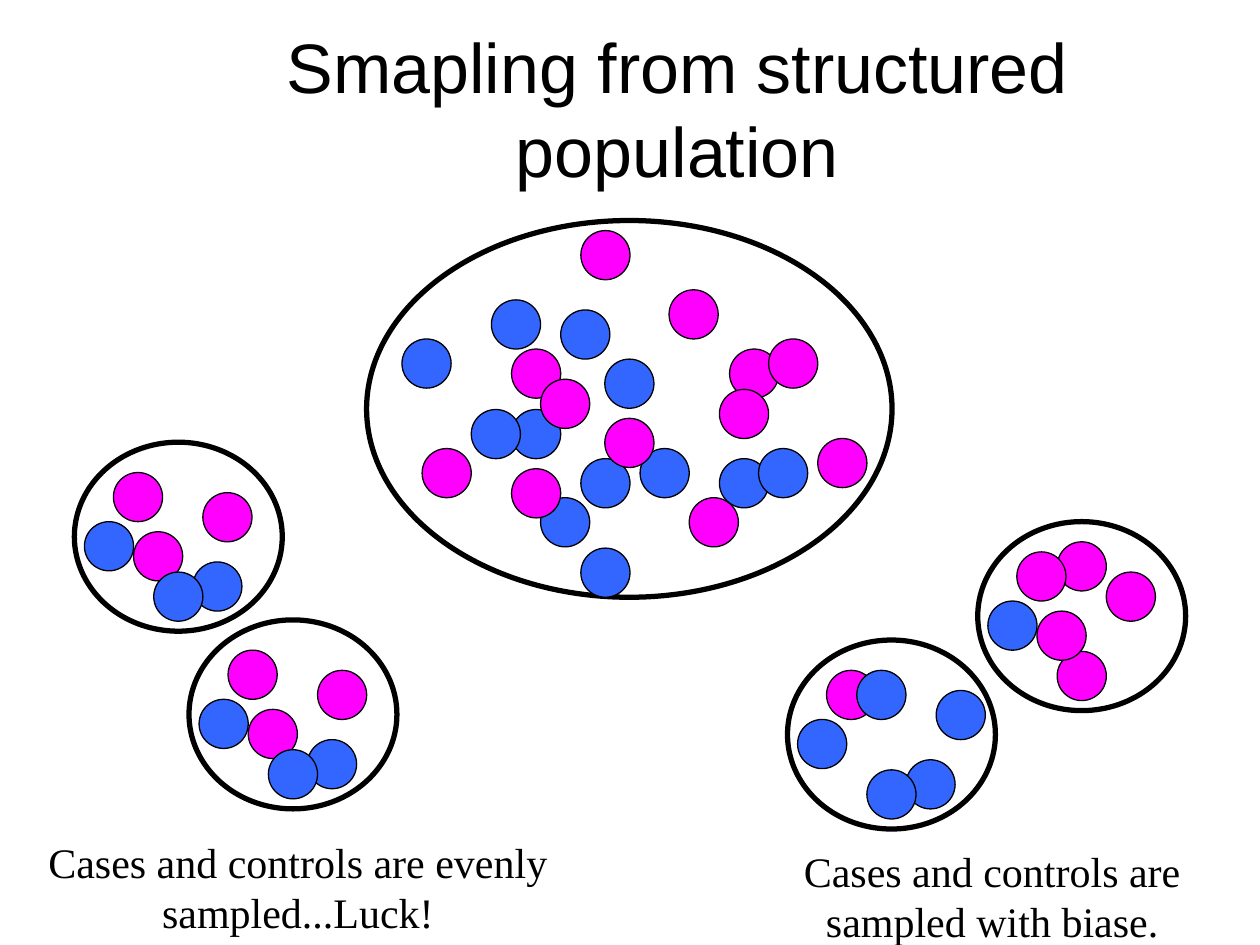
"""Build a slide on sampling cases and controls from a structured population."""
from typing import NamedTuple

from pptx import Presentation
from pptx.dml.color import RGBColor
from pptx.enum.shapes import MSO_SHAPE
from pptx.enum.text import MSO_ANCHOR, MSO_AUTO_SIZE, PP_ALIGN
from pptx.shapes.group import GroupShape
from pptx.slide import Slide
from pptx.text.text import TextFrame
from pptx.util import Inches, Pt

OVAL = MSO_SHAPE.OVAL
CENTER = PP_ALIGN.CENTER
MIDDLE = MSO_ANCHOR.MIDDLE
NO_FIT = MSO_AUTO_SIZE.NONE
GROW = MSO_AUTO_SIZE.SHAPE_TO_FIT_TEXT

BLACK = RGBColor(0x00, 0x00, 0x00)
WHITE = RGBColor(0xFF, 0xFF, 0xFF)
PINK = RGBColor(0xFF, 0x00, 0xFF)
BLUE = RGBColor(0x33, 0x66, 0xFF)

DOT = 0.39
SMALL = (1.65, 1.5)
LARGE = (4.17, 2.99)

Points = list[tuple[float, float]]


class Batch(NamedTuple):
    """Dots of one colour, placed from the corner of their pool."""
    color: RGBColor
    points: Points


class Pool(NamedTuple):
    """An outlined oval and the dots inside it."""
    left: float
    top: float
    size: tuple[float, float]
    dots: list[Batch]


class Caption(NamedTuple):
    """A centred note below the samples."""
    left: float
    top: float
    width: float
    text: str


CROWD = [
    Batch(BLUE, [(0.99, 0.63), (1.54, 0.71), (1.15, 1.5), (1.89, 1.1),
                 (1.7, 1.89), (2.17, 1.81), (2.8, 1.89), (1.7, 2.6),
                 (3.11, 1.81), (1.38, 2.2), (0.83, 1.5), (0.28, 0.94)]),
    Batch(PINK, [(2.4, 0.55), (1.7, 0.08), (2.88, 1.02), (3.19, 0.94),
                 (2.8, 1.34), (3.58, 1.73), (1.89, 1.57), (1.15, 1.97),
                 (1.15, 1.02), (0.44, 1.81), (2.56, 2.2), (1.38, 1.26)]),
]
EVEN = [
    Batch(PINK, [(0.31, 0.24), (0.47, 0.71), (1.02, 0.4)]),
    Batch(BLUE, [(0.94, 0.95), (0.63, 1.03), (0.08, 0.63)]),
]
MOST_PINK = [
    Batch(PINK, [(0.63, 1.03), (0.63, 0.16), (0.31, 0.24), (0.47, 0.71),
                 (1.02, 0.4)]),
    Batch(BLUE, [(0.08, 0.63)]),
]
MOST_BLUE = [
    Batch(PINK, [(0.31, 0.24)]),
    Batch(BLUE, [(0.94, 0.95), (0.63, 1.03), (0.08, 0.63), (1.18, 0.4),
                 (0.55, 0.24)]),
]
POOLS = [
    Pool(7.76, 4.14, SMALL, MOST_PINK),
    Pool(0.59, 3.51, SMALL, EVEN),
    Pool(2.91, 1.75, LARGE, CROWD),
    Pool(1.5, 4.92, SMALL, EVEN),
    Pool(6.25, 5.08, SMALL, MOST_BLUE),
]
CAPTIONS = [
    Caption(6.26, 6.66, 3.23, "Cases and controls are sampled with biase."),
    Caption(0.2, 6.59, 4.33, "Cases and controls are evenly sampled...Luck!"),
]


def draw_oval(group: GroupShape, left: float, top: float,
              size: tuple[float, float], fill: RGBColor, line: float) -> None:
    """Add one filled oval with a black outline."""
    oval = group.shapes.add_shape(OVAL, Inches(left), Inches(top),
                                  Inches(size[0]), Inches(size[1]))
    oval.shadow.inherit = False
    oval.fill.solid()
    oval.fill.fore_color.rgb = fill
    oval.line.color.rgb = BLACK
    oval.line.width = Pt(line)


def draw_pool(slide: Slide, pool: Pool) -> None:
    """Add a pool and its dots as one group."""
    group = slide.shapes.add_group_shape()
    draw_oval(group, pool.left, pool.top, pool.size, WHITE, 3)
    for batch in pool.dots:
        for x, y in batch.points:
            draw_oval(group, pool.left + x, pool.top + y, (DOT, DOT),
                      batch.color, 0.75)


def set_text(frame: TextFrame, text: str, font: str, size: int) -> None:
    """Write centred black text into a frame."""
    frame.word_wrap = True
    frame.text = text
    line = frame.paragraphs[0]
    line.alignment = CENTER
    style = line.runs[0].font
    style.name = font
    style.size = Pt(size)
    style.color.rgb = BLACK


def draw_note(slide: Slide, note: Caption) -> None:
    """Add one caption."""
    box = slide.shapes.add_textbox(Inches(note.left), Inches(note.top),
                                   Inches(note.width), Inches(0.9))
    set_text(box.text_frame, note.text, "Times New Roman", 24)
    box.text_frame.auto_size = GROW


def draw_title(slide: Slide) -> None:
    """Place and fill the title."""
    title = slide.shapes.title
    title.left, title.top = Inches(1.22), Inches(0.52)
    title.width, title.height = Inches(8.31), Inches(0.66)
    set_text(title.text_frame, "Smapling from structured population",
             "Arial", 40)
    title.text_frame.auto_size = NO_FIT
    title.text_frame.vertical_anchor = MIDDLE


def main() -> None:
    """Build and save the deck."""
    deck = Presentation()
    deck.slide_width, deck.slide_height = Inches(10), Inches(7.5)
    slide = deck.slides.add_slide(deck.slide_layouts[5])
    draw_title(slide)
    for pool in POOLS:
        draw_pool(slide, pool)
    for note in CAPTIONS:
        draw_note(slide, note)
    deck.save("out.pptx")


if __name__ == "__main__":
    main()
